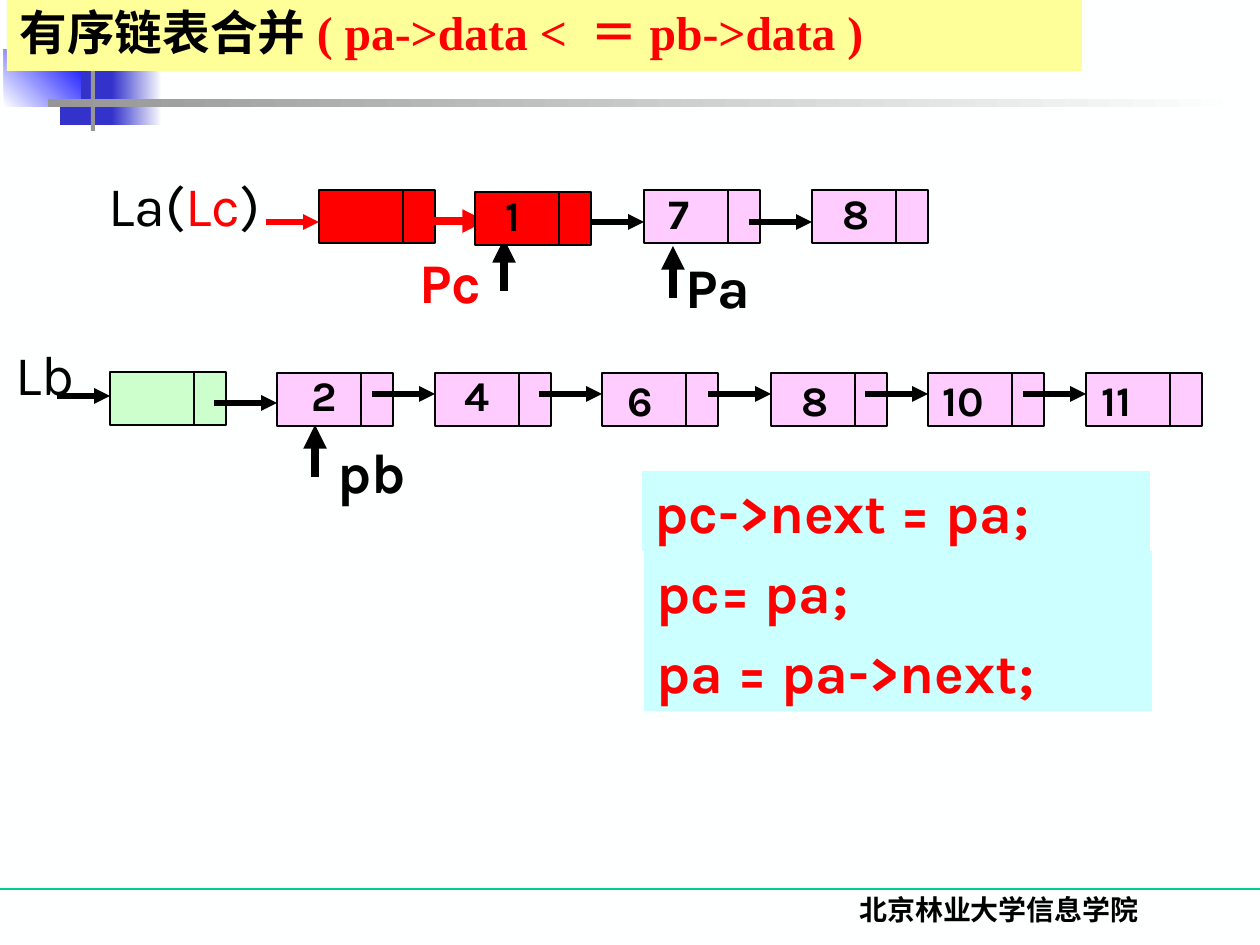
from lxml import etree
from pptx import Presentation
from pptx.dml.color import RGBColor
from pptx.enum.shapes import MSO_CONNECTOR, MSO_SHAPE
from pptx.enum.text import MSO_ANCHOR, PP_ALIGN
from pptx.oxml.ns import qn
from pptx.util import Emu, Pt

RECTANGLE = MSO_SHAPE.RECTANGLE
STRAIGHT = MSO_CONNECTOR.STRAIGHT
TOP, MIDDLE = MSO_ANCHOR.TOP, MSO_ANCHOR.MIDDLE
LEFT, CENTER = PP_ALIGN.LEFT, PP_ALIGN.CENTER

EMU_PER_PX = 914400 / 126
KARLA, TIMES, CJK = "Karla", "Times New Roman", "Noto Sans CJK SC"
BLACK, RED, PINK, GREEN = "000000", "FF0000", "FFCCFF", "CCFFCC"
WHITE, GRAY, INDIGO, CYAN = "FEFFFF", "969696", "3333CC", "CCFFFF"

DATA_WIDTH, LINK_WIDTH, NODE_HEIGHT = 84, 32, 53
ARROW_LENGTH = 63
DIGIT_BOX = {1: 49, 2: 73}

ORNAMENTS = [
    (60, 59, 58, 66, [INDIGO], 0),
    (112, 59, 50, 66, [INDIGO, WHITE], 0),
    (4, 49, 77, 58, [WHITE, "0000FF"], 45),
    (91, 0, 4, 131, [GRAY], 0),
    (48, 99, 1198, 8, [GRAY, WHITE], 0),
]

NODES = [
    (319, 190, RED, "", 0, 0),
    (644, 190, PINK, "7", 656, 181),
    (812, 190, PINK, "8", 830, 181),
    (110, 372, GREEN, "", 0, 0),
    (277, 373, PINK, "2", 299, 363),
    (435, 373, PINK, "4", 452, 363),
    (602, 373, PINK, "6", 615, 368),
    (771, 373, PINK, "8", 789, 368),
    (928, 373, PINK, "10", 930, 368),
    (1086, 373, PINK, "11", 1089, 368),
]
CURRENT_NODE = (475, 192, RED, "1", 493, 183)

NEXT_ARROWS = [
    (486, 221, RED, 4.5),
    (644, 222, BLACK, 3),
    (812, 222, BLACK, 3),
    (277, 403, BLACK, 3),
] + [(tip, 394, BLACK, 3) for tip in (435, 602, 771, 928, 1086)]

HEAD_ARROWS = [(266, 222, 319, RED), (57, 396, 110, BLACK)]
POINTERS = [(504, 239), (315, 425), (673, 246)]

LABELS = [
    (96, 164, 203, [("La(", BLACK), ("Lc", RED), (")", BLACK)], False),
    (3, 333, 88, [("Lb", BLACK)], False),
    (325, 431, 96, [("pb", BLACK)], True),
    (407, 241, 120, [("Pc", RED)], True),
    (673, 246, 100, [("Pa", BLACK)], True),
]

STATEMENTS = [
    (642, "pc->next = pa;"),
    (644, "pc= pa;"),
    (644, "pa = pa->next;"),
]
STATEMENT_TOP, STATEMENT_WIDTH, STATEMENT_HEIGHT = 471, 508, 80

TITLE = [("有序链表合并", BLACK, CJK), ("( pa->data < ＝pb->data )", RED, TIMES)]
SCHOOL = "北京林业大学信息学院"


def px(value):
    return Emu(round(value * EMU_PER_PX))


def color(value):
    return RGBColor.from_string(value)


def add_rect(page, left, top, width, height, fills, angle=0, outline=None):
    box = page.shapes.add_shape(RECTANGLE, px(left), px(top), px(width), px(height))
    box.shadow.inherit = False
    if len(fills) == 1:
        box.fill.solid()
        box.fill.fore_color.rgb = color(fills[0])
    else:
        box.fill.gradient()
        box.fill.gradient_angle = angle
        for stop, fill, position in zip(box.fill.gradient_stops, fills, (0, 1)):
            stop.color.rgb = color(fill)
            stop.position = position
    if outline:
        box.line.color.rgb = color(outline)
        box.line.width = Pt(0.75)
    else:
        box.line.fill.background()
    return box


def write(box, spans, size, bold, align=LEFT, anchor=TOP, wrap=True):
    frame = box.text_frame
    frame.word_wrap = wrap
    frame.vertical_anchor = anchor
    para = frame.paragraphs[0]
    para.alignment = align
    for text, ink, face in spans:
        span = para.add_run()
        span.text = text
        span.font.size = Pt(size)
        span.font.bold = bold
        span.font.name = face
        span.font.color.rgb = color(ink)
        latin = span.font._element.find(qn("a:latin"))
        east_asian = etree.Element(qn("a:ea"), typeface=CJK)
        latin.addnext(east_asian)
    return para


def add_text(page, left, top, width, height, spans, size, bold, **layout):
    box = page.shapes.add_textbox(px(left), px(top), px(width), px(height))
    write(box, spans, size, bold, **layout)


def add_line(page, start, end, ink, weight, arrow=True):
    line = page.shapes.add_connector(STRAIGHT, *map(px, start + end))
    line.line.color.rgb = color(ink)
    line.line.width = Pt(weight)
    if arrow:
        etree.SubElement(line.line._get_or_add_ln(), qn("a:tailEnd"), type="triangle")
    etree.SubElement(line._element.spPr, qn("a:effectLst"))


def add_node(page, left, top, fill, label, label_left, label_top):
    add_rect(page, left, top, DATA_WIDTH, NODE_HEIGHT, [fill], outline=BLACK)
    add_rect(page, left + DATA_WIDTH, top, LINK_WIDTH, NODE_HEIGHT, [fill], outline=BLACK)
    if label:
        add_text(page, label_left, label_top, DIGIT_BOX[len(label)], 63,
                 [(label, BLACK, KARLA)], 24, True, wrap=False)


def main():
    deck = Presentation()
    deck.slide_width, deck.slide_height = px(1260), px(945)
    page = deck.slides.add_slide(deck.slide_layouts[6])
    page.background.fill.solid()
    page.background.fill.fore_color.rgb = color(WHITE)

    add_line(page, (0, 889), (1260, 889), "00CC99", 0.75, arrow=False)
    for left, top, width, height, fills, angle in ORNAMENTS:
        add_rect(page, left, top, width, height, fills, angle)
    add_text(page, 738, 886, 522, 63, [(SCHOOL, BLACK, TIMES)], 16, True, align=CENTER)

    for node in NODES:
        add_node(page, *node)
    for tip, y, ink, weight in NEXT_ARROWS:
        add_line(page, (tip - ARROW_LENGTH, y), (tip, y), ink, weight)
    for start, y, tip, ink in HEAD_ARROWS:
        add_line(page, (start, y), (tip, y), ink, 3)
    for x, tip in POINTERS:
        add_line(page, (x, tip + 52), (x, tip), BLACK, 4.5)
    add_node(page, *CURRENT_NODE)

    for left, top, width, parts, bold in LABELS:
        spans = [(text, ink, KARLA) for text, ink in parts]
        add_text(page, left, top, width, 80, spans, 32, bold, wrap=False)

    title = add_rect(page, 7, 0, 1075, 71, ["FFFF99"])
    write(title, TITLE, 27.2, True, anchor=MIDDLE).line_spacing = 0.9

    for index, (left, code) in enumerate(STATEMENTS):
        top = STATEMENT_TOP + index * STATEMENT_HEIGHT
        box = add_rect(page, left, top, STATEMENT_WIDTH, STATEMENT_HEIGHT, [CYAN])
        write(box, [(code, RED, KARLA)], 32, True)

    deck.save("out.pptx")


if __name__ == "__main__":
    main()
